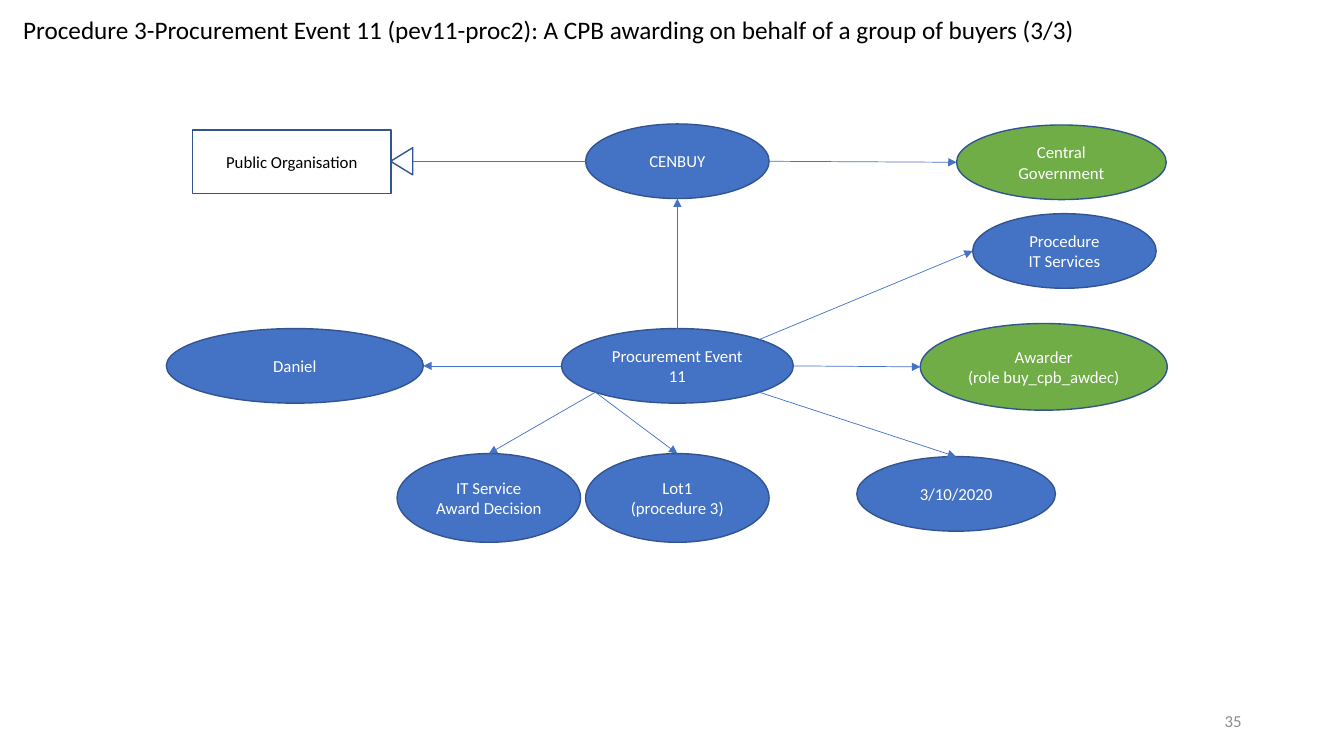
from dataclasses import dataclass

from lxml.etree import SubElement
from pptx import Presentation
from pptx.dml.color import RGBColor
from pptx.enum.shapes import MSO_CONNECTOR, MSO_SHAPE
from pptx.enum.text import MSO_ANCHOR, PP_ALIGN
from pptx.oxml.ns import qn
from pptx.util import Inches, Pt

BLUE = RGBColor(0x44, 0x72, 0xC4)
GREEN = RGBColor(0x70, 0xAD, 0x47)
OUTLINE = RGBColor(0x32, 0x54, 0x91)
WHITE = RGBColor(0xFF, 0xFF, 0xFF)
BLACK = RGBColor(0x00, 0x00, 0x00)
GRAY = RGBColor(0x8C, 0x8C, 0x8C)
FONT = "Calibri"
COLUMNS, ROWS = 80, 45

MIDDLE, NARROW, LOW, TALL = 40.32, 10.92, 4.44, 5.28
TOP_ROW, EVENT_ROW, RESULT_ROW = 9.6, 21.78, 29.64

ELLIPSES = {
    "buyer": (MIDDLE, TOP_ROW, NARROW, LOW, BLUE, "CENBUY"),
    "government": (63.18, TOP_ROW + 0.06, 12.48, LOW, GREEN, "Central Government"),
    "procedure": (63.36, 14.94, NARROW, LOW, BLUE, "Procedure\nIT Services"),
    "event": (MIDDLE, EVENT_ROW, 13.8, LOW, BLUE, "Procurement Event 11"),
    "awarder": (62.13, EVENT_ROW + 0.06, 14.7, 5.16, GREEN, "Awarder\n(role buy_cpb_awdec)"),
    "person": (17.55, EVENT_ROW, 15.3, LOW, BLUE, "Daniel"),
    "decision": (29.1, RESULT_ROW, NARROW, TALL, BLUE, "IT Service\nAward Decision"),
    "lot": (MIDDLE, RESULT_ROW, NARROW, TALL, BLUE, "Lot1\n(procedure 3)"),
    "date": (56.91, 29.4, 11.82, LOW, BLUE, "3/10/2020"),
}

DIAGONAL = 0.5 ** 0.5
SITES = {
    "top": (0, -1),
    "left": (-1, 0),
    "right": (1, 0),
    "top right": (DIAGONAL, -DIAGONAL),
    "bottom left": (-DIAGONAL, DIAGONAL),
    "bottom right": (DIAGONAL, DIAGONAL),
    "bottom": (0, 1),
}

ARROWS = [
    ("event", "top", "buyer", "bottom"),
    ("event", "left", "person", "right"),
    ("event", "right", "awarder", "left"),
    ("event", "top right", "procedure", "left"),
    ("event", "bottom left", "decision", "top"),
    ("event", "bottom left", "lot", "top"),
    ("event", "bottom right", "date", "top"),
    ("buyer", "right", "government", "left"),
]


@dataclass
class Box:
    left: int
    top: int
    width: int
    height: int

    def point(self, column, row):
        return (
            int(self.left + self.width * column / COLUMNS),
            int(self.top + self.height * row / ROWS),
        )

    def region(self, column, row, columns, rows):
        size = int(self.width * columns / COLUMNS), int(self.height * rows / ROWS)
        return Box(*self.point(column, row), *size)

    def centred(self, column, row, columns, rows):
        return self.region(column - columns / 2, row - rows / 2, columns, rows)

    def bounds(self):
        return self.left, self.top, self.width, self.height


def write(shape, text, size, color, alignment, anchor=MSO_ANCHOR.MIDDLE, wrap=True):
    frame = shape.text_frame
    frame.text = text
    frame.word_wrap = wrap
    frame.vertical_anchor = anchor
    for para in frame.paragraphs:
        para.alignment = alignment
        for span in para.runs:
            span.font.name = FONT
            span.font.size = Pt(size)
            span.font.color.rgb = color


def add_outlined(page, kind, box, fill=None):
    shape = page.shapes.add_shape(kind, *box.bounds())
    shape.shadow.inherit = False
    shape.line.color.rgb = OUTLINE
    shape.line.width = Pt(1)
    if fill is None:
        shape.fill.background()
    else:
        shape.fill.solid()
        shape.fill.fore_color.rgb = fill
    return shape


def add_link(page, start, end, arrow=True):
    link = page.shapes.add_connector(MSO_CONNECTOR.STRAIGHT, *start, *end)
    link.line.color.rgb = BLUE
    link.line.width = Pt(0.5)
    properties = link._element.spPr
    if arrow:
        SubElement(properties.find(qn("a:ln")), qn("a:tailEnd"), type="triangle")
    SubElement(properties, qn("a:effectLst"))


def site(box, name, side):
    column, row, columns, rows = ELLIPSES[name][:4]
    across, down = SITES[side]
    return box.point(column + across * columns / 2, row + down * rows / 2)


def add_title(page, box):
    title = page.shapes.title
    title.left, title.top, title.width, title.height = box.bounds()
    text = (
        "Procedure 3-Procurement Event 11 (pev11-proc2): "
        "A CPB awarding on behalf of a group of buyers (3/3)"
    )
    write(title, text, 18, BLACK, PP_ALIGN.LEFT, MSO_ANCHOR.TOP, wrap=False)


def add_event_graph(page, box):
    for column, row, columns, rows, fill, text in ELLIPSES.values():
        area = box.centred(column, row, columns, rows)
        ellipse = add_outlined(page, MSO_SHAPE.OVAL, area, fill)
        write(ellipse, text, 12, WHITE, PP_ALIGN.CENTER)
    for source, source_side, target, target_side in ARROWS:
        add_link(page, site(box, source, source_side), site(box, target, target_side))


def add_generalisation(page, box):
    area = box.centred(17.37, TOP_ROW + 0.03, 11.82, 3.78)
    organisation = add_outlined(page, MSO_SHAPE.RECTANGLE, area)
    write(organisation, "Public Organisation", 12, BLACK, PP_ALIGN.CENTER)
    head_column, head_length = 23.91, 1.32
    area = box.centred(head_column, TOP_ROW, 1.62, head_length)
    head = add_outlined(page, MSO_SHAPE.ISOSCELES_TRIANGLE, area)
    head.rotation = 270
    end = box.point(head_column + head_length / 2, TOP_ROW)
    add_link(page, site(box, "buyer", "left"), end, arrow=False)


def add_page_number(page, box):
    number = page.shapes.add_textbox(*box.bounds())
    write(number, "35", 12, GRAY, PP_ALIGN.RIGHT)


def main():
    deck = Presentation()
    deck.slide_width = Inches(13.33)
    deck.slide_height = Inches(7.5)
    page = deck.slides.add_slide(deck.slide_layouts[5])
    whole = Box(0, 0, deck.slide_width, deck.slide_height)
    add_title(page, whole.region(0.78, 0.54, 65.28, 2.4))
    add_event_graph(page, whole)
    add_generalisation(page, whole)
    add_page_number(page, whole.region(56.5, 41.7, 18, 2.4))
    deck.save("out.pptx")


if __name__ == "__main__":
    main()
